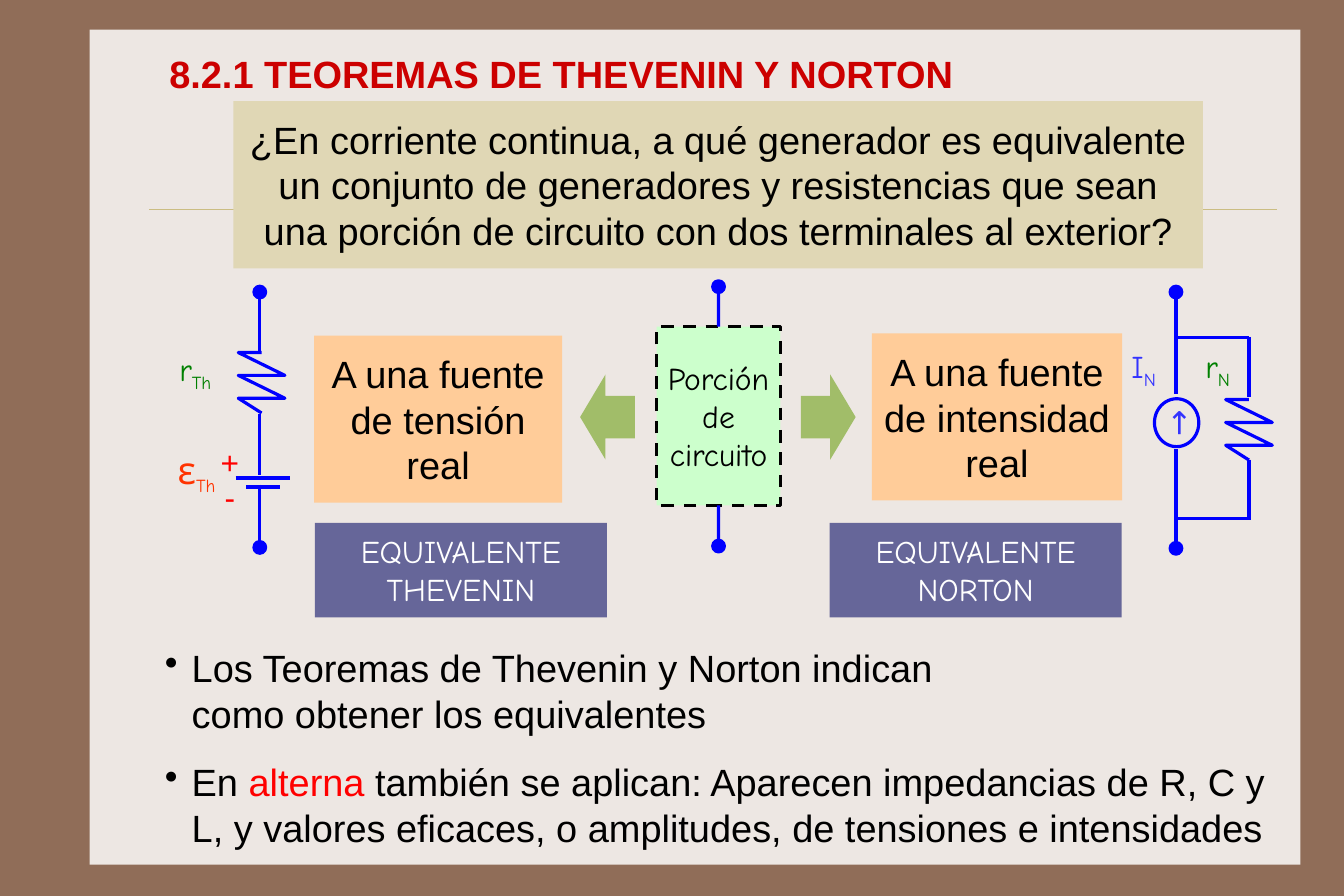
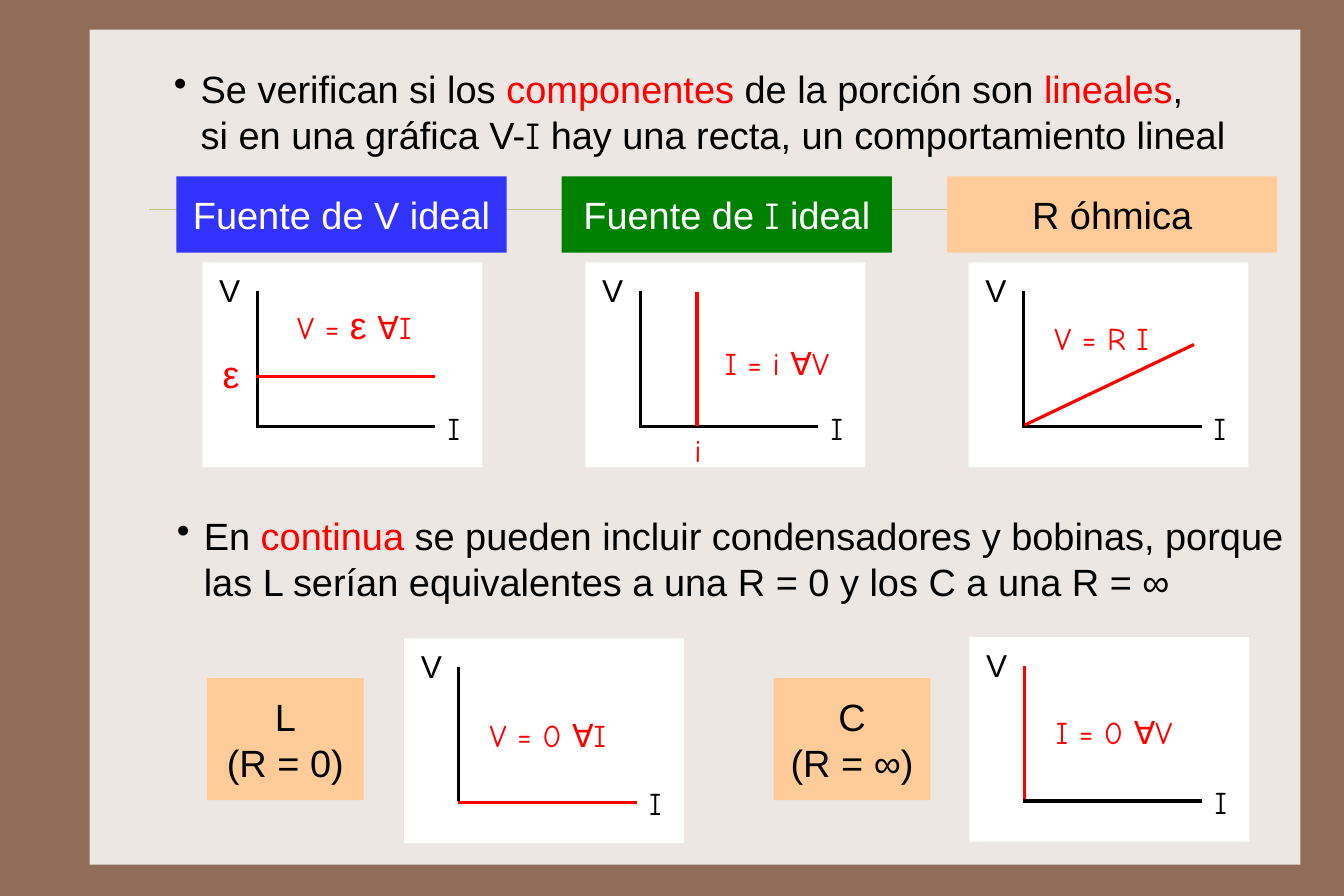
from lxml import etree
from pptx import Presentation
from pptx import util as u
from pptx.dml import color
from pptx.enum import dml, shapes, text
from pptx.oxml import ns

BROWN, CREAM, RULE, SAND = "906D58", "EDE7E3", "CBBD83", "E0D7B5"
BLACK, WHITE, RED, TITLE_RED, ORANGE = "000000", "FFFFFF", "FF0000", "CC0000", "FF3300"
BLUE, SOURCE_BLUE, GREEN, MINT = "0000FF", "3333FF", "008000", "CCFFCC"
PEACH, SLATE, LEAF = "FFCC99", "666699", "A1BD69"
HAND = "Comic Neue"
BODY = {"name": "Arial", "size": 24, "color": BLACK}
ACCENT = {"color": RED}
NOTE = {"name": HAND, "size": 20}
FORMULA = {**NOTE, **ACCENT}
RECT, OVAL = shapes.MSO_SHAPE.RECTANGLE, shapes.MSO_SHAPE.OVAL
CENTER, LEFT = text.PP_ALIGN.CENTER, text.PP_ALIGN.LEFT
ZIGZAG = [(0, 0), (-0.52, 0), (0.52, 0.51), (-0.52, 0.51),
          (0.52, 1.02), (-0.52, 1.02), (0, 1.35)]


def ink(hex_code):
    return color.RGBColor.from_string(hex_code)


def assign(target, values):
    for name, value in values.items():
        setattr(target, name, value)


class Deck:
    def __init__(self):
        self.prs = Presentation()
        assign(self.prs, {"slide_width": u.Cm(30), "slide_height": u.Cm(20)})
        backdrop = self.prs.slide_master.background.fill
        backdrop.solid()
        backdrop.fore_color.rgb = ink(BROWN)
        self.slide = None

    def page(self):
        self.slide = self.prs.slides.add_slide(self.prs.slide_layouts[6])
        self.box((2, 0.66, 27.03, 18.64), CREAM)
        self.line((3.33, 4.67), (28.5, 4.67), RULE, 0.25)

    def paint(self, shape, fill, outline):
        shape.shadow.inherit = False
        if fill:
            shape.fill.solid()
            shape.fill.fore_color.rgb = ink(fill)
        else:
            shape.fill.background()
        if outline:
            shape.line.color.rgb = ink(outline)
            shape.line.width = u.Pt(2)
        else:
            shape.line.fill.background()

    def box(self, area, fill=None, lines=(), style=None, outline=None, kind=RECT, inset=0.25):
        shape = self.slide.shapes.add_shape(kind, *map(u.Cm, area))
        self.paint(shape, fill, outline)
        if lines:
            self.fill_text(shape.text_frame, lines, style, CENTER, inset)
        return shape

    def text(self, area, lines, style=None, align=LEFT, inset=0.25, bullet=False):
        frame = self.slide.shapes.add_textbox(*map(u.Cm, area)).text_frame
        self.fill_text(frame, lines, style, align, inset, bullet)

    def label(self, x, y, runs, style, width=1.4):
        self.text((x - width / 2, y - 0.6, width, 1.2), [runs], style, CENTER, 0)

    def bullet(self, area, runs):
        self.text(area, [runs], bullet=True)

    def fill_text(self, frame, lines, style, align, inset, bullet=False):
        assign(frame, {
            "word_wrap": True, "auto_size": text.MSO_AUTO_SIZE.NONE,
            "vertical_anchor": text.MSO_ANCHOR.MIDDLE,
            "margin_left": u.Cm(inset), "margin_right": u.Cm(inset),
            "margin_top": 0, "margin_bottom": 0})
        for index, runs in enumerate(lines):
            paragraph = frame.add_paragraph() if index else frame.paragraphs[0]
            paragraph.alignment = align
            if bullet:
                props = paragraph._p.get_or_add_pPr()
                hang = u.Cm(0.6)
                props.set("marL", str(hang))
                props.set("indent", str(-hang))
                etree.SubElement(props, ns.qn("a:buChar")).set("char", "•")
            for run in [runs] if isinstance(runs, str) else runs:
                if run == "\n":
                    paragraph.add_line_break()
                else:
                    self.add_words(paragraph, run, style or {})

    def add_words(self, paragraph, content, style):
        words, extra = (content, {}) if isinstance(content, str) else content
        look = {**BODY, **style, **extra}
        run = paragraph.add_run()
        run.text = words
        assign(run.font, {"name": look["name"], "size": u.Pt(look["size"]),
                          "bold": look.get("bold", False)})
        run.font.color.rgb = ink(look["color"])
        if look.get("sub"):
            run._r.get_or_add_rPr().set("baseline", "-25000")

    def line(self, start, end, shade=BLUE, width=2):
        line = self.slide.shapes.add_connector(
            shapes.MSO_CONNECTOR.STRAIGHT, *map(u.Cm, (*start, *end)))
        line.line.color.rgb = ink(shade)
        line.line.width = u.Pt(width)
        etree.SubElement(line._element.spPr, ns.qn("a:effectLst"))
        return line

    def terminal(self, x, y):
        self.box((x - 0.13, y - 0.13, 0.26, 0.26), BLUE, outline=BLUE, kind=OVAL)

    def resistor(self, x, y):
        points = [(u.Cm(x + dx), u.Cm(y + dy)) for dx, dy in ZIGZAG]
        outline = self.slide.shapes.build_freeform(*points[0])
        outline.add_line_segments(points[1:], close=False)
        self.paint(outline.convert_to_shape(), None, BLUE)

    def arrow(self, kind, x):
        arrow = self.box((x, 8.36, 1.22, 1.9), LEAF, kind=kind)
        arrow.adjustments[0], arrow.adjustments[1] = 0.5, 0.464

    def graph(self, x, y, formula, spot, curve=None, mark=None, v_axis=BLACK, i_axis=BLACK):
        def at(point):
            return x + point[0], y + point[1]

        self.box((x, y, 6.25, 4.57), WHITE)
        self.line(at((1.22, 0.64)), at((1.22, 3.63)), v_axis)
        self.line(at((5.2, 3.66)), at((1.2, 3.66)), i_axis)
        self.label(*at((0.61, 0.62)), "V", {"size": 20})
        self.label(*at((5.61, 3.68)), "I", NOTE)
        if curve:
            self.line(at(curve[0]), at(curve[1]), RED)
        if mark:
            words, place, style = mark
            self.label(*at(place), words, style)
        self.label(*at(spot), formula, FORMULA, 4)


def thevenin(deck):
    x = 5.8
    for top, bottom in ((6.5, 7.85), (9.25, 10.6), (10.82, 12.17)):
        deck.line((x, top), (x, bottom))
    for half, y in ((0.61, 10.67), (0.37, 10.87)):
        deck.line((x + 0.07 - half, y), (x + 0.07 + half, y))
    deck.resistor(x + 0.04, 7.87)
    for y in (6.52, 12.22):
        deck.terminal(x, y)
    sub = {"size": 20, "sub": True}
    deck.label(4.36, 8.3, ["r", ("Th", sub)], {**NOTE, "color": GREEN})
    deck.label(4.39, 10.52, ["ε", ("Th", sub)], {"name": HAND, "color": ORANGE})
    for sign, y in (("+", 10.31), ("-", 11.08)):
        deck.label(5.13, y, sign, {"size": 20, "color": RED}, 0.8)


def norton(deck):
    x, branch = 26.25, 27.88
    for start, end in (((x, 6.55), (x, 8.79)), ((x, 10.03), (x, 12.27)),
                       ((x, 7.54), (branch, 7.54)), ((branch, 7.52), (branch, 8.86)),
                       ((branch, 10.26), (branch, 11.61)), ((x, 11.58), (branch, 11.58))):
        deck.line(start, end)
    deck.resistor(branch, 8.92)
    for y in (6.52, 12.24):
        deck.terminal(x, y)
    source = deck.box((25.73, 8.94, 1.07, 0.99), None, ["→"],
                      {**NOTE, "color": SOURCE_BLUE}, BLUE, OVAL, 0)
    source.rotation = 270
    for letter, center, shade in (("I", 25.53, SOURCE_BLUE), ("r", 27.18, GREEN)):
        deck.label(center, 8.23, [letter, ("N", {"sub": True})], {**NOTE, "color": shade})


def circuit_portion(deck):
    portion = deck.box((14.66, 7.29, 2.76, 3.99), MINT, ["Porción", "de", "circuito"],
                       NOTE, BLACK, inset=0)
    portion.line.dash_style = dml.MSO_LINE.DASH
    x = 16.04
    for y, side in ((6.4, 0), (12.19, 2)):
        deck.line((x, 9), (x, y)).begin_connect(portion, side)
        deck.terminal(x, y)


def theorems(deck):
    deck.page()
    deck.text((3.53, 0.99, 24.33, 1.3), ["8.2.1 TEOREMAS DE THEVENIN Y NORTON"],
              {"color": TITLE_RED, "bold": True})
    deck.box((5.21, 2.26, 21.64, 3.73), SAND,
             ["¿En corriente continua, a qué generador es equivalente un conjunto de "
              "generadores y resistencias que sean una porción de circuito con dos "
              "terminales al exterior?"])
    deck.box((7.01, 7.49, 5.54, 3.73), PEACH, ["A una fuente de tensión real"])
    deck.box((19.46, 7.44, 5.59, 3.73), PEACH, ["A una fuente de intensidad real"])
    deck.arrow(shapes.MSO_SHAPE.LEFT_ARROW, 12.95)
    deck.arrow(shapes.MSO_SHAPE.RIGHT_ARROW, 17.88)
    for x, name in ((7.03, "THEVENIN"), (18.52, "NORTON")):
        deck.box((x, 11.67, 6.52, 2.11), SLATE, ["EQUIVALENTE " + name],
                 {**NOTE, "color": WHITE})
    thevenin(deck)
    circuit_portion(deck)
    norton(deck)
    deck.bullet((3.43, 14.05, 22, 2.72),
                ["Los Teoremas de Thevenin y Norton indican", "\n",
                 "como obtener los equivalentes"])
    deck.bullet((3.43, 16.59, 25.65, 2.72),
                ["En ", ("alterna", ACCENT),
                 " también se aplican: Aparecen impedancias de R, C y", "\n",
                 "L, y valores eficaces, o amplitudes, de tensiones e intensidades"])


def linearity(deck):
    deck.page()
    current = ("I", {"name": HAND})
    deck.bullet((3.63, 1.12, 25, 2.72),
                ["Se verifican si los ", ("componentes", ACCENT), " de la porción son ",
                 ("lineales", ACCENT), ",", "\n", "si en una gráfica V-", current,
                 " hay una recta, un comportamiento lineal"])
    headings = (("Fuente de V ideal", SOURCE_BLUE, WHITE),
                (["Fuente de ", current, " ideal"], GREEN, WHITE),
                ("R óhmica", PEACH, BLACK))
    for column, (heading, fill, shade) in enumerate(headings):
        deck.box((3.94 + 8.6 * column, 3.94, 7.37, 1.7), fill, [heading], {"color": shade})

    emf = {"name": "Arial", "size": 24}
    graphs = (
        (["V = ", ("ε", emf), " ∀I"], (3.39, 1.38), ((5.2, 2.54), (1.2, 2.54)),
         ("ε", (0.64, 2.48), ACCENT)),
        ("I = i ∀V", (4.27, 2.24), ((2.49, 0.66), (2.49, 3.66)),
         ("i", (2.51, 4.19), FORMULA)),
        ("V = R I", (2.97, 1.68), ((5.03, 1.83), (1.25, 3.63))))
    for column, graph in enumerate(graphs):
        deck.graph(4.52 + 8.55 * column, 5.86, *graph)

    deck.bullet((3.7, 11.1, 25.5, 2.72),
                ["En ", ("continua", ACCENT),
                 " se pueden incluir condensadores y bobinas, porque", "\n",
                 "las L serían equivalentes a una R = 0 y los C a una R = ∞"])
    for x, component, resistance in ((4.62, "L", "(R = 0)"), (17.27, "C", "(R = ∞)")):
        deck.box((x, 15.14, 3.5, 2.72), PEACH, [component, resistance], inset=0.1)
    deck.graph(9.02, 14.25, "V = 0 ∀I", (3.21, 2.16), i_axis=RED)
    deck.graph(21.64, 14.22, "I = 0 ∀V", (3.23, 2.11), v_axis=RED)


def main():
    deck = Deck()
    theorems(deck)
    linearity(deck)
    deck.prs.save("out.pptx")


if __name__ == "__main__":
    main()
